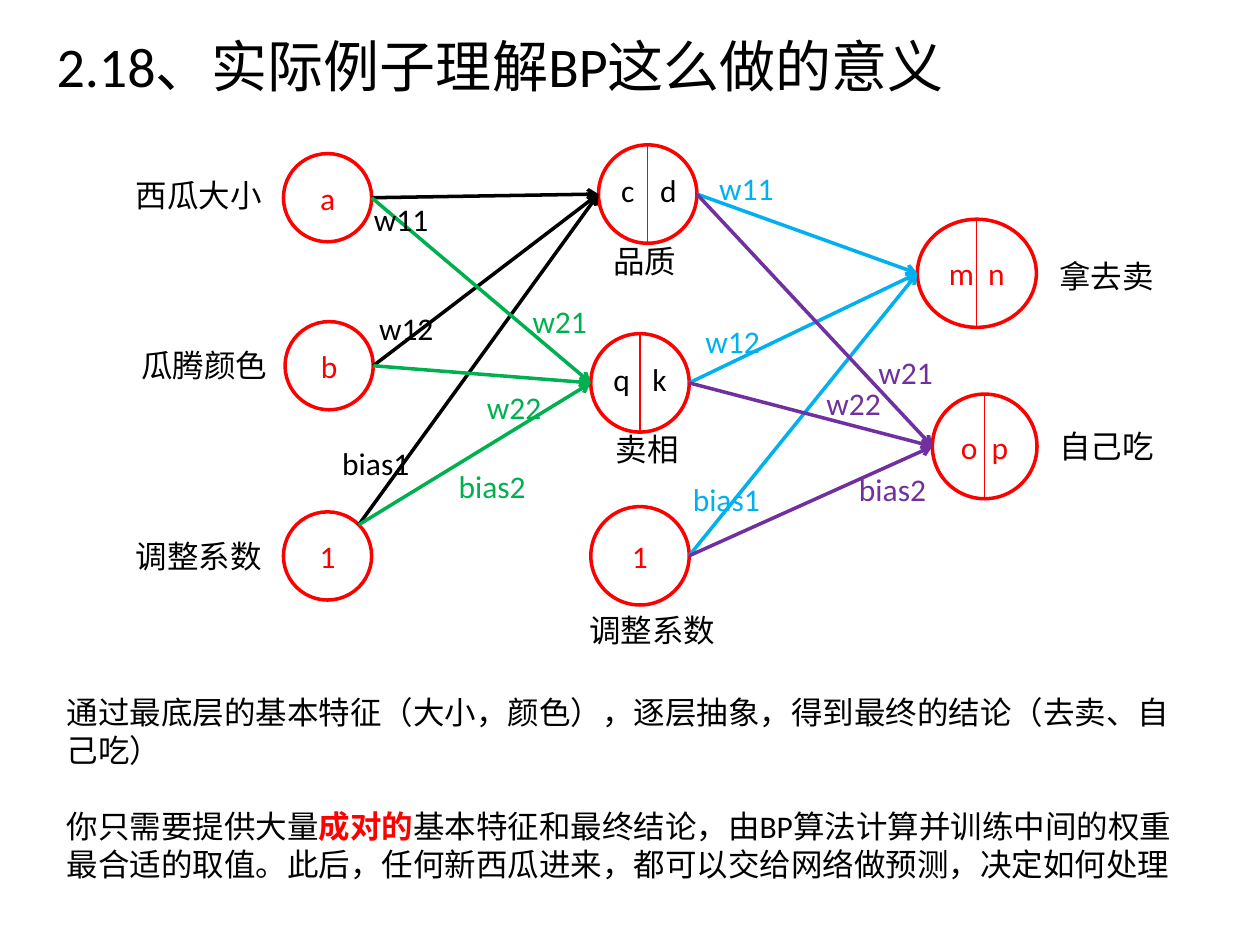
import math
import pptx
import pptx.util
import pptx.dml.color
import pptx.enum.shapes
import pptx.enum.text
import pptx.oxml
import pptx.oxml.ns

Pt = pptx.util.Pt
RGBColor = pptx.dml.color.RGBColor
BLACK = RGBColor(0, 0, 0)
RED = RGBColor(0xFF, 0, 0)
GREEN = RGBColor(0, 0xB0, 0x50)
BLUE = RGBColor(0, 0xB0, 0xF0)
PURPLE = RGBColor(0x70, 0x30, 0xA0)

TITLE = "2.18、实际例子理解BP这么做的意义"
SUMMARY = [
    [("通过最底层的基本特征（大小，颜色），逐层抽象，得到最终的结论（去卖、自己吃）", False)],
    [("你只需要提供大量", False), ("成对的", True),
     ("基本特征和最终结论，由BP算法计算并训练中间的权重最合适的取值。"
      "此后，任何新西瓜进来，都可以交给网络做预测，决定如何处理", False)],
]
NODES = {
    "size": (162, 87.8, 50.4, 50.4, "a"),
    "color": (162.9, 183.8, 50.4, 50.4, "b"),
    "input bias": (162, 292.5, 50.4, 50.4, "1"),
    "quality": (342, 82.8, 56.2, 56.2, ""),
    "looks": (337.6, 190.7, 56.2, 56.2, ""),
    "hidden bias": (337.6, 289.5, 56.2, 56.2, "1"),
    "sell": (524.2, 125.3, 68, 61.8, "m  n"),
    "eat": (532.8, 225.2, 59.8, 59.8, "o  p"),
}
DIVIDED = ["quality", "looks", "sell", "eat"]
HALVES = {"quality": ("c", "d"), "looks": ("q", "k")}
LAYERS = [
    (["size", "color", "input bias"], [("quality", BLACK), ("looks", GREEN)]),
    (["quality", "looks", "hidden bias"], [("sell", BLUE), ("eat", PURPLE)]),
]
LABELS = [
    (BLACK, [("w11", 206.6, 110.9), ("w12", 209.5, 172.8), ("bias1", 188.5, 249.9),
             ("西瓜大小", 70.4, 97.2), ("瓜腾颜色", 73.5, 194.4), ("调整系数", 70.4, 303.1),
             ("品质", 343.4, 134.6), ("卖相", 344.7, 241.9), ("调整系数", 329.5, 345.6),
             ("自己吃", 598.3, 240.5), ("拿去卖", 598.3, 143.3)]),
    (GREEN, [("w21", 297.2, 169.2), ("w22", 271.2, 218.2), ("bias2", 255, 263.5)]),
    (BLUE, [("w11", 403.9, 92.9), ("w12", 396, 180.7), ("bias1", 388.8, 270.7)]),
    (PURPLE, [("w21", 494.9, 198), ("w22", 465.2, 216), ("bias2", 483.8, 265)]),
]
LABEL_WIDTHS = {"w": 46, "b": 53.3}
LETTER_WIDTH = 24
LABEL_HEIGHT = 29

presentation = pptx.Presentation()
presentation.slide_width, presentation.slide_height = Pt(720), Pt(540)
slide = presentation.slides.add_slide(presentation.slide_layouts[6])


def set_font(font, color, size=18):
    font.name = "Calibri"
    font.size = Pt(size)
    font.color.rgb = color


def add_text(text, left, top, width, height=LABEL_HEIGHT, color=BLACK, size=18, wrap=False):
    box = slide.shapes.add_textbox(Pt(left), Pt(top), Pt(width), Pt(height))
    frame = box.text_frame
    frame.word_wrap = wrap
    frame.auto_size = pptx.enum.text.MSO_AUTO_SIZE.SHAPE_TO_FIT_TEXT
    paragraph = frame.paragraphs[0]
    paragraph.text = text
    set_font(paragraph.font, color, size)
    return frame


def add_node(left, top, width, height, text):
    shape = slide.shapes.add_shape(
        pptx.enum.shapes.MSO_SHAPE.OVAL, Pt(left), Pt(top), Pt(width), Pt(height))
    shape.shadow.inherit = False
    shape.fill.background()
    shape.line.color.rgb = RED
    shape.line.width = Pt(2)
    if text:
        frame = shape.text_frame
        frame.word_wrap = False
        frame.vertical_anchor = pptx.enum.text.MSO_ANCHOR.MIDDLE
        paragraph = frame.paragraphs[0]
        paragraph.text = text
        paragraph.alignment = pptx.enum.text.PP_ALIGN.CENTER
        set_font(paragraph.font, RED)


def add_line(start, end, color, width, arrow=False):
    connector = slide.shapes.add_connector(
        pptx.enum.shapes.MSO_CONNECTOR.STRAIGHT, *[Pt(value) for value in (*start, *end)])
    connector.line.color.rgb = color
    connector.line.width = Pt(width)
    if arrow:
        tail = pptx.oxml.parse_xml(
            '<a:tailEnd %s type="arrow"/>' % pptx.oxml.ns.nsdecls("a"))
        connector.line._get_or_add_ln().append(tail)
    effects = pptx.oxml.parse_xml("<a:effectLst %s/>" % pptx.oxml.ns.nsdecls("a"))
    connector._element.spPr.append(effects)


def edge_point(name, degrees):
    left, top, width, height, _ = NODES[name]
    angle = math.radians(degrees)
    return (left + width / 2 * (1 + math.cos(angle)),
            top + height / 2 * (1 - math.sin(angle)))


for node in NODES.values():
    add_node(*node)

for sources, targets in LAYERS:
    for target, color in targets:
        for source in sources:
            start = edge_point(source, 45 if source == "input bias" else 0)
            add_line(start, edge_point(target, 180), color, 2, arrow=True)

for name in DIVIDED:
    add_line(edge_point(name, 90), edge_point(name, 270), RED, 0.75)

for name, letters in HALVES.items():
    left, top, width, _, _ = NODES[name]
    for letter, offset in zip(letters, (5.8, width / 2)):
        add_text(letter, left + offset, top + 11.3, LETTER_WIDTH)

for color, labels in LABELS:
    for text, left, top in labels:
        width = LABEL_WIDTHS.get(text[0], 15 + 18 * len(text))
        add_text(text, left, top, width, color=color)

add_text(TITLE, 25.2, 14.4, 526.3, 46, size=32, wrap=True)

frame = add_text("", 31, 392.4, 655.2, 116.6, wrap=True)
for index, pieces in enumerate(SUMMARY):
    paragraph = frame.add_paragraph() if index else frame.paragraphs[0]
    paragraph.space_before = Pt(22 * index)
    set_font(paragraph.font, BLACK)
    for text, emphasized in pieces:
        run = paragraph.add_run()
        run.text = text
        if emphasized:
            run.font.bold = True
            run.font.color.rgb = RED

presentation.save("out.pptx")
